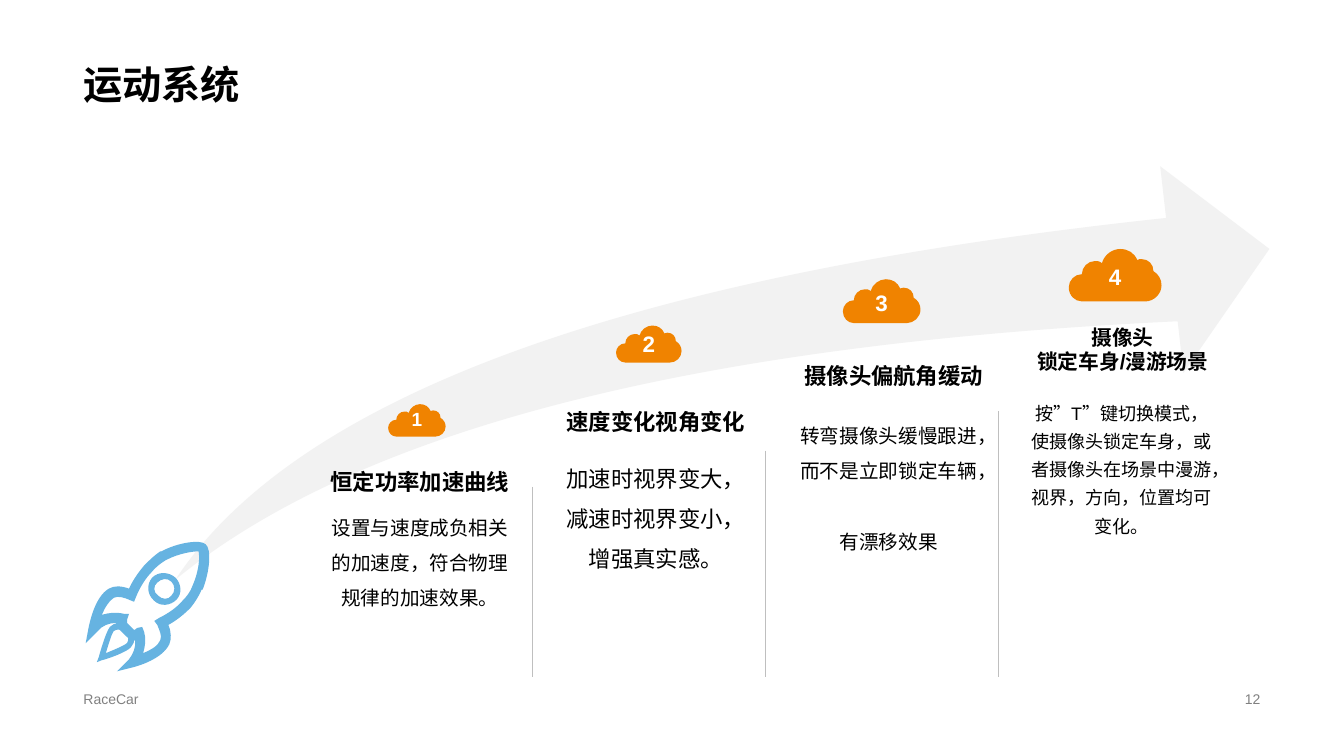
from copy import deepcopy

from pptx import Presentation
from pptx.dml.color import RGBColor
from pptx.enum.shapes import MSO_CONNECTOR, MSO_SHAPE
from pptx.enum.text import MSO_ANCHOR, PP_ALIGN
from pptx.oxml import parse_xml
from pptx.oxml.ns import qn
from pptx.util import Inches, Pt

COLORS = {
    "black": "000000",
    "white": "FFFFFF",
    "grey": "808080",
    "rule": "BFBFBF",
    "swoosh": "F2F2F2",
    "rocket": "66B3E1",
    "cloud": "F08300",
}
UNITS_PER_INCH = 1000
COLUMN_WIDTH = 2.03
RULE_BOTTOM = 6.72

ROCKET_BODY = [
    [(0.85, 6.38), (0.88, 6.22), (0.89, 6.18, 0.94, 5.92, 1.08, 5.84),
     (1.13, 5.81, 1.2, 5.81, 1.28, 5.84), (1.32, 5.75, 1.38, 5.67, 1.43, 5.61),
     (1.48, 5.56, 1.53, 5.51, 1.59, 5.47), (1.6, 5.47),
     (1.77, 5.38, 1.99, 5.35, 2.04, 5.4), (2.1, 5.45, 2.08, 5.67, 2.01, 5.85),
     (2, 5.85), (1.97, 5.92, 1.93, 5.98, 1.89, 6.03),
     (1.83, 6.09, 1.76, 6.15, 1.67, 6.2), (1.7, 6.27, 1.7, 6.34, 1.68, 6.39),
     (1.61, 6.54, 1.36, 6.61, 1.32, 6.62), (1.16, 6.66), (1.28, 6.54),
     (1.32, 6.49, 1.35, 6.42, 1.34, 6.35), (1.31, 6.37), (1.28, 6.34),
     (1.25, 6.31, 1.21, 6.27, 1.17, 6.23), (1.14, 6.21), (1.15, 6.18),
     (1.08, 6.18, 1.01, 6.21, 0.97, 6.26)],
    [(1.64, 5.56), (1.59, 5.59, 1.54, 5.63, 1.5, 5.68),
     (1.45, 5.73, 1.39, 5.82, 1.35, 5.92), (1.33, 5.97), (1.28, 5.95),
     (1.24, 5.93, 1.17, 5.91, 1.13, 5.93), (1.08, 5.96, 1.04, 6.03, 1.01, 6.1),
     (1.08, 6.08, 1.15, 6.07, 1.23, 6.09), (1.28, 6.09), (1.26, 6.15),
     (1.26, 6.16, 1.26, 6.17, 1.26, 6.18), (1.28, 6.2, 1.31, 6.23, 1.33, 6.25),
     (1.34, 6.25, 1.35, 6.24, 1.36, 6.23), (1.41, 6.22), (1.43, 6.27),
     (1.45, 6.34, 1.44, 6.41, 1.42, 6.48), (1.49, 6.45, 1.57, 6.41, 1.59, 6.35),
     (1.61, 6.31, 1.58, 6.25, 1.56, 6.2), (1.53, 6.16), (1.58, 6.13),
     (1.68, 6.08, 1.76, 6.02, 1.81, 5.96), (1.85, 5.92, 1.89, 5.87, 1.91, 5.81),
     (1.98, 5.65, 1.98, 5.52, 1.97, 5.47), (1.93, 5.47, 1.79, 5.48, 1.64, 5.56)],
]
ROCKET_WINDOW = [
    [(1.53, 5.96), (1.46, 5.9, 1.45, 5.8, 1.51, 5.73),
     (1.57, 5.67, 1.67, 5.67, 1.74, 5.73), (1.8, 5.79, 1.81, 5.89, 1.75, 5.95),
     (1.69, 6.01, 1.59, 6.02, 1.53, 5.96)],
    [(1.7, 5.77), (1.66, 5.73, 1.6, 5.74, 1.56, 5.78),
     (1.52, 5.81, 1.52, 5.88, 1.57, 5.91), (1.61, 5.95, 1.67, 5.95, 1.7, 5.91),
     (1.74, 5.87, 1.74, 5.81, 1.7, 5.77)],
]
ROCKET_FLAME = [
    [(0.96, 6.57), (0.98, 6.52), (0.99, 6.48, 1.05, 6.27, 1.09, 6.22),
     (1.13, 6.17, 1.22, 6.17, 1.28, 6.23), (1.34, 6.28, 1.35, 6.37, 1.3, 6.42),
     (1.26, 6.47, 1.06, 6.54, 1.01, 6.55)],
    [(1.24, 6.27), (1.2, 6.24, 1.16, 6.24, 1.13, 6.26),
     (1.11, 6.28, 1.08, 6.38, 1.05, 6.48), (1.15, 6.44, 1.24, 6.4, 1.26, 6.38),
     (1.28, 6.35, 1.28, 6.3, 1.24, 6.27)],
]
CLOUD_WIDTH = 0.92
CLOUD = [
    (0.84, 0.22), (0.84, 0.15, 0.79, 0.1, 0.72, 0.1),
    (0.71, 0.1, 0.69, 0.1, 0.68, 0.11), (0.65, 0.04, 0.59, 0, 0.51, 0),
    (0.43, 0, 0.35, 0.06, 0.33, 0.14), (0.31, 0.12, 0.29, 0.12, 0.26, 0.12),
    (0.19, 0.12, 0.13, 0.18, 0.13, 0.25), (0.06, 0.25, 0, 0.31, 0, 0.38),
    (0, 0.46, 0.06, 0.52, 0.13, 0.52), (0.76, 0.52),
    (0.84, 0.52, 0.92, 0.45, 0.92, 0.36), (0.92, 0.3, 0.89, 0.25, 0.84, 0.22),
]

STEPS = [
    {"cloud": (3.85, 4.01, 0.57), "number": (13.6, 0.9),
     "heading": ("恒定功率加速曲线", 3.15, 4.51, 16),
     "body": ("设置与速度成负相关的加速度，符合物理规律的加速效果。", 3.15, 4.95, 14, 1.5)},
    {"cloud": (6.11, 3.23, 0.65), "number": (16, 1.0),
     "heading": ("速度变化视角变化", 5.49, 3.92, 16),
     "body": ("加速时视界变大，减速时视界变小，增强真实感。", 5.49, 4.43, 16, 1.5)},
    {"cloud": (8.36, 2.77, 0.77), "number": (16, 1.1),
     "heading": ("摄像头偏航角缓动", 7.85, 3.46, 16),
     "body": ("转弯摄像头缓慢跟进，而不是立即锁定车辆，\n有漂移效果", 7.8, 4.04, 14, 1.5)},
    {"cloud": (10.6, 2.47, 0.92), "number": (16, 1.1),
     "heading": ("摄像头\n锁定车身/漫游场景", 10.12, 3.2, 14.8),
     "body": ("按”T”键切换模式，使摄像头锁定车身，或者摄像头在场景中漫游，"
              "视界，方向，位置均可变化。", 10.11, 3.88, 12.9, 1.3)},
]
RULES = [(5.28, 4.83), (7.59, 4.47), (9.9, 4.08)]


def rgb(name):
    return RGBColor.from_string(COLORS[name])


def write(frame, text, size, color="black", bold=False, spacing=1.0,
          align=PP_ALIGN.CENTER, anchor=MSO_ANCHOR.MIDDLE):
    frame.word_wrap = True
    frame.vertical_anchor = anchor
    paragraph = frame.paragraphs[0]
    paragraph.text = text
    paragraph.alignment = align
    paragraph.line_spacing = spacing
    font_format = {"name": "Arial", "size": Pt(size), "bold": bold}
    for run in paragraph.runs:
        for attribute, value in font_format.items():
            setattr(run.font, attribute, value)
        run.font.color.rgb = rgb(color)
    for line_break in paragraph._p.findall(qn("a:br")):
        line_break.append(deepcopy(paragraph.runs[0]._r.rPr))


def add_text(slide, box, text, size, **options):
    textbox = slide.shapes.add_textbox(*map(Inches, box))
    write(textbox.text_frame, text, size, **options)


def paint(shape, color):
    shape.shadow.inherit = False
    shape.fill.solid()
    shape.fill.fore_color.rgb = rgb(color)
    shape.line.fill.background()


def bend_curves(shape, contours):
    lines = iter(list(shape._element.iter(qn("a:lnTo"))))
    for contour in contours:
        for segment in contour[1:]:
            controls = [next(lines) for _ in range(len(segment) // 2)]
            if len(controls) == 1:
                continue
            curve = controls[0].makeelement(qn("a:cubicBezTo"))
            controls[0].addprevious(curve)
            for control in controls:
                curve.append(control[0])
                control.getparent().remove(control)


def add_outline(slide, contours, color, left=0, top=0, scale=1):
    builder = None
    for contour in contours:
        points = [((left + segment[i] * scale) * UNITS_PER_INCH,
                   (top + segment[i + 1] * scale) * UNITS_PER_INCH)
                  for segment in contour for i in range(0, len(segment), 2)]
        if builder is None:
            builder = slide.shapes.build_freeform(*points[0], scale=Inches(1) / UNITS_PER_INCH)
        else:
            builder.move_to(*points[0])
        builder.add_line_segments(points[1:], close=True)
    shape = builder.convert_to_shape()
    bend_curves(shape, contours)
    paint(shape, color)
    return shape


def add_swoosh(slide):
    swoosh = slide.shapes.add_shape(
        MSO_SHAPE.SWOOSH_ARROW, Inches(1.74), Inches(1.65), Inches(10.85), Inches(4.1))
    swoosh.adjustments[0] = swoosh.adjustments[1] = 0.25
    paint(swoosh, "swoosh")


def add_rule(slide, x, top):
    rule = slide.shapes.add_connector(
        MSO_CONNECTOR.STRAIGHT, Inches(x), Inches(top), Inches(x), Inches(RULE_BOTTOM))
    rule.line.color.rgb = rgb("rule")
    rule.line.width = Pt(0.25)
    rule._element.spPr.append(parse_xml(
        '<a:effectLst xmlns:a="http://schemas.openxmlformats.org/drawingml/2006/main"/>'))


def add_step(slide, number, step):
    left, top, width = step["cloud"]
    cloud = add_outline(slide, [CLOUD], "cloud", left, top, width / CLOUD_WIDTH)
    size, spacing = step["number"]
    write(cloud.text_frame, str(number), size, color="white", bold=True, spacing=spacing)
    text, left, top, size = step["heading"]
    add_text(slide, (left, top, COLUMN_WIDTH, 0.53), text, size, bold=True)
    text, left, top, size, spacing = step["body"]
    add_text(slide, (left, top, COLUMN_WIDTH, 1.5), text, size,
             spacing=spacing, anchor=MSO_ANCHOR.TOP)


def main():
    presentation = Presentation()
    presentation.slide_width = Inches(13.33)
    presentation.slide_height = Inches(7.5)
    slide = presentation.slides.add_slide(presentation.slide_layouts[6])
    add_text(slide, (0.73, 0, 11.87, 1.12), "运动系统", 28, bold=True, spacing=0.9,
             align=PP_ALIGN.LEFT, anchor=MSO_ANCHOR.BOTTOM)
    add_swoosh(slide)
    for part in (ROCKET_BODY, ROCKET_WINDOW, ROCKET_FLAME):
        add_outline(slide, part, "rocket")
    for number, step in enumerate(STEPS, start=1):
        add_step(slide, number, step)
    for x, top in RULES:
        add_rule(slide, x, top)
    add_text(slide, (0.73, 6.82, 4.53, 0.23), "RaceCar", 10, color="grey", align=PP_ALIGN.LEFT)
    add_text(slide, (9.42, 6.82, 3.18, 0.23), "12", 10, color="grey", align=PP_ALIGN.RIGHT)
    presentation.save("out.pptx")


if __name__ == "__main__":
    main()
